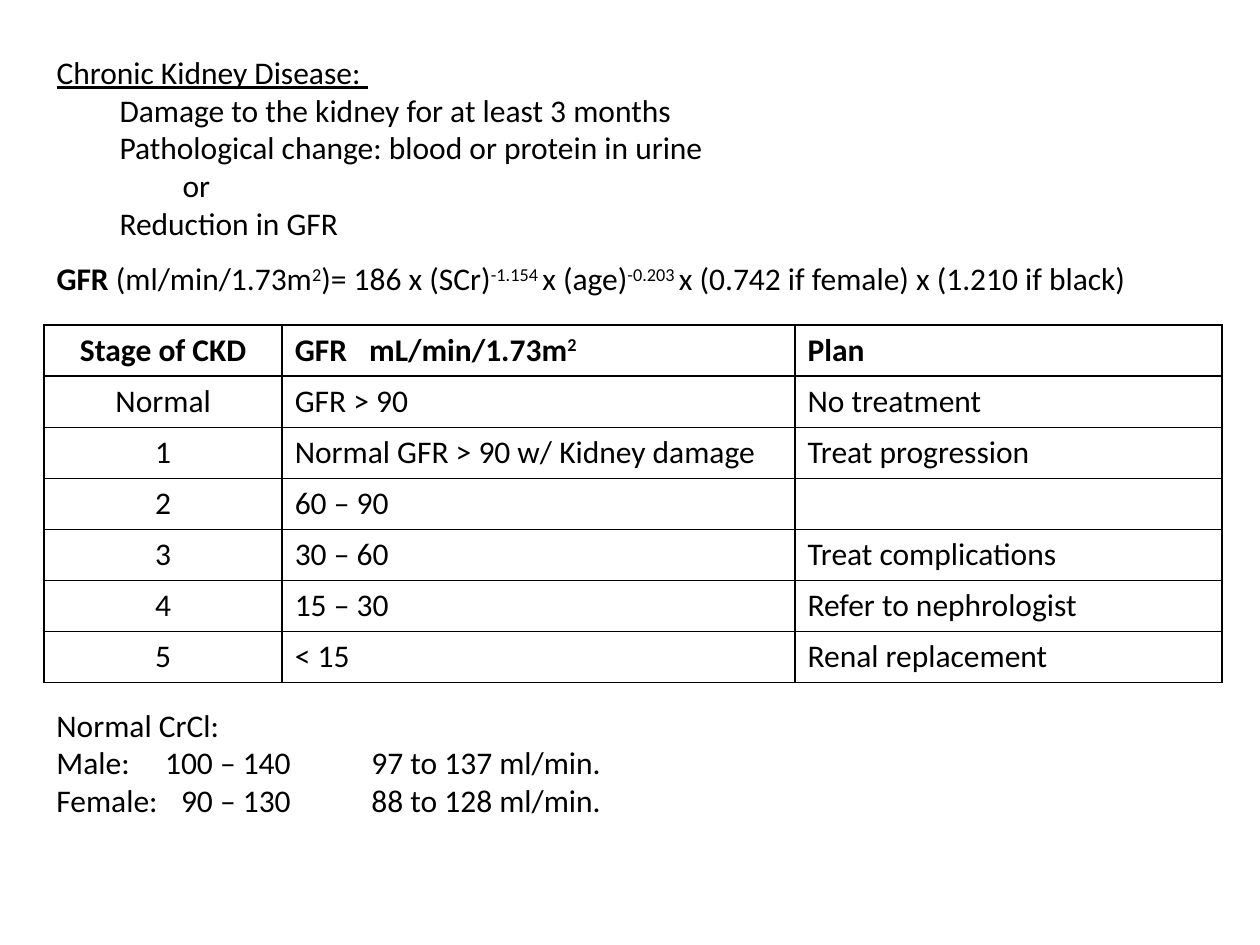
from dataclasses import dataclass

from lxml.etree import SubElement
from pptx import Presentation
from pptx.dml.color import RGBColor
from pptx.enum.text import MSO_AUTO_SIZE as AutoSize, PP_ALIGN as Align
from pptx.oxml import parse_xml
from pptx.oxml.ns import nsdecls, qn
from pptx.util import Inches, Pt


@dataclass(frozen=True)
class Theme:
    font: str = "Calibri"
    size: int = 18
    ink: str = "000000"
    border: int = 1


theme = Theme()


def write(para, pieces, indent=0, tabs=()):
    """Fill a paragraph with (text, style) pieces, using indents and tab stops in inches."""
    props = para._p.get_or_add_pPr()
    if indent:
        props.set("marL", str(Inches(indent)))
        props.set("indent", "0")
    if tabs:
        stops = SubElement(props, qn("a:tabLst"))
        for place, side in tabs:
            SubElement(stops, qn("a:tab"), pos=str(Inches(place)), algn=side)
    para.font.name = theme.font
    para.font.size = Pt(theme.size)
    para.font.color.rgb = RGBColor.from_string(theme.ink)
    for text, style in pieces:
        span = para.add_run()
        span.text = text
        if "bold" in style:
            span.font.bold = True
        if "underline" in style:
            span.font.underline = True
        if "super" in style:
            span._r.get_or_add_rPr().set("baseline", "30000")


def add_box(page, left, top, width, height, lines):
    """Add a text box; each line is the argument list of write after the paragraph."""
    box = page.shapes.add_textbox(Inches(left), Inches(top), Inches(width), Inches(height))
    frame = box.text_frame
    frame.word_wrap = True
    frame.auto_size = AutoSize.SHAPE_TO_FIT_TEXT
    for number, line in enumerate(lines):
        para = frame.add_paragraph() if number else frame.paragraphs[0]
        write(para, *line)


deck = Presentation()
deck.slide_width, deck.slide_height = Inches(10), Inches(7.5)
page = deck.slides.add_slide(deck.slide_layouts[6])
left = 0.35

# Definition
add_box(page, left, 0.37, 9.35, 1.62, [
    ([("Chronic Kidney Disease: ", "underline")],),
    ([("Damage to the kidney for at least 3 months", "")], 0.5),
    ([("Pathological change: blood or protein in urine", "")], 0.5),
    ([("or", "")], 1),
    ([("Reduction in GFR", "")], 0.5),
])

# Stages table
stages = [
    ("Stage of CKD", "GFR\tmL/min/1.73m", "Plan"),
    ("Normal", "GFR > 90", "No treatment"),
    ("1", "Normal GFR > 90 w/ Kidney damage", "Treat progression"),
    ("2", "60 – 90", ""),
    ("3", "30 – 60", "Treat complications"),
    ("4", "15 – 30", "Refer to nephrologist"),
    ("5", "< 15", "Renal replacement"),
]
widths = [1.89, 4.07, 3.39]
table = page.shapes.add_table(len(stages), len(widths), Inches(left), Inches(2.58),
                              Inches(sum(widths)), Inches(2.84)).table
table.first_row = table.horz_banding = False
for column, width in zip(table.columns, widths):
    column.width = Inches(width)
for row, texts in enumerate(stages):
    for col, text in enumerate(texts):
        cell = table.cell(row, col)
        cell.fill.background()
        for place, edge in enumerate(("lnL", "lnR", "lnT", "lnB")):
            cell._tc.get_or_add_tcPr().insert(place, parse_xml(
                f'<a:{edge} {nsdecls("a")} w="{Pt(theme.border)}"><a:solidFill>'
                f'<a:srgbClr val="{theme.ink}"/></a:solidFill></a:{edge}>'))
        para = cell.text_frame.paragraphs[0]
        pieces = [(text, "bold" if row == 0 else "")] if text else []
        tabs = ()
        if "\t" in text:
            pieces.append(("2", "bold super"))
            tabs = [(0.59, "l")]
        write(para, pieces, tabs=tabs)
        if col == 0:
            para.alignment = Align.CENTER

# Normal creatinine clearance
range_tabs = [(1.86, "r"), (2.5, "l")]
add_box(page, left, 5.55, 5, 1.01, [
    ([("Normal CrCl:", "")],),
    ([("Male:\t100 – 140\t97 to 137 ml/min.", "")], 0, range_tabs),
    ([("Female:\t90 – 130\t88 to 128 ml/min.", "")], 0, range_tabs),
])

# GFR formula
add_box(page, left, 2.01, 9.15, 0.4, [([
    ("GFR", "bold"), (" (ml/min/1.73m", ""), ("2", "super"),
    (")= 186 x (SCr)", ""), ("-1.154 ", "super"),
    ("x (age)", ""), ("-0.203 ", "super"),
    ("x (0.742 if female) x (1.210 if black)", ""),
],)])

deck.save("out.pptx")
